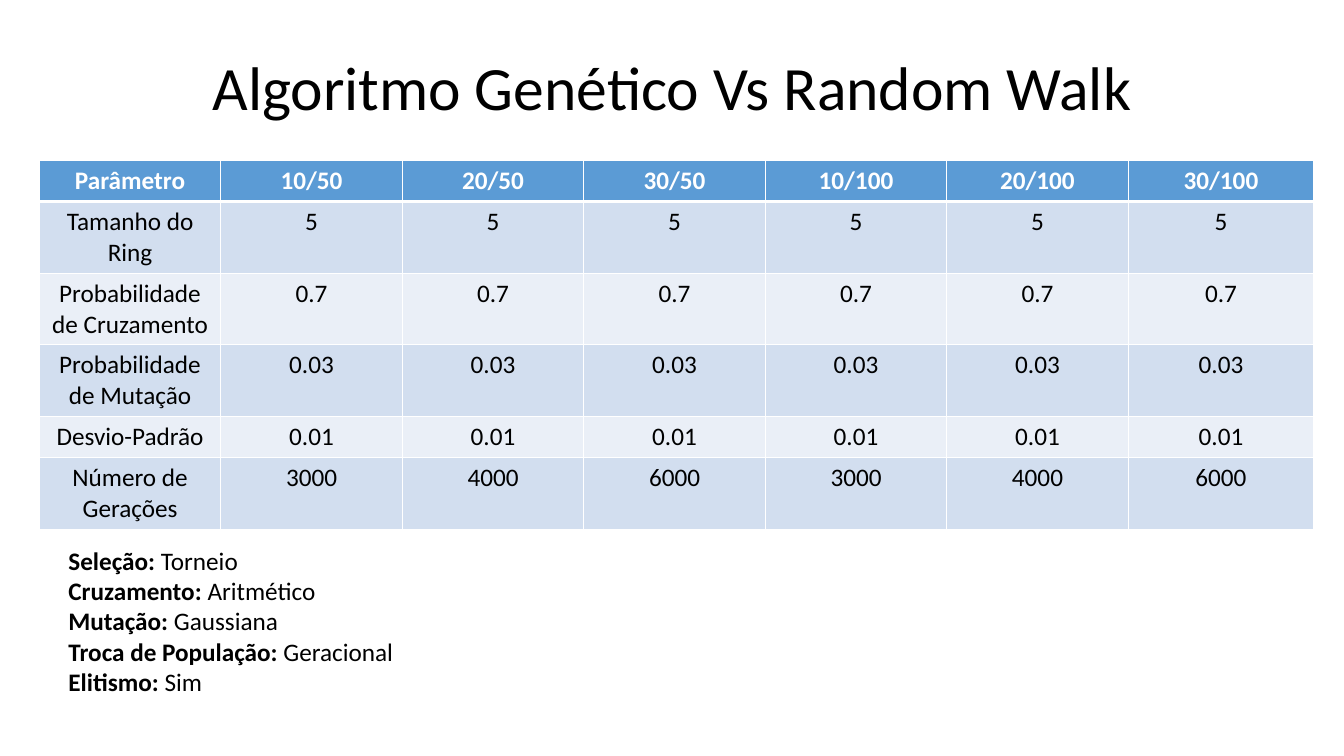
import dataclasses

import lxml.etree
import pptx
import pptx.dml.color
import pptx.enum.text
import pptx.oxml.ns
import pptx.util

Inches = pptx.util.Inches
Align = pptx.enum.text.PP_ALIGN
Anchor = pptx.enum.text.MSO_ANCHOR

FONT = "Calibri"
BLACK, WHITE = "000000", "FFFFFF"
HEADER_FILL = "5B9BD5"
BAND_FILLS = ("D2DEEF", "EAEFF7")


@dataclasses.dataclass
class Parameter:
    name: str
    values: list[str]
    height: float = 0.7


@dataclasses.dataclass
class Setting:
    label: str
    value: str


CONFIGURATIONS = ["10/50", "20/50", "30/50", "10/100", "20/100", "30/100"]
PARAMETERS = [
    Parameter("Tamanho do Ring", ["5"] * 6),
    Parameter("Probabilidade de Cruzamento", ["0.7"] * 6),
    Parameter("Probabilidade de Mutação", ["0.03"] * 6),
    Parameter("Desvio-Padrão", ["0.01"] * 6, height=0.41),
    Parameter("Número de Gerações", ["3000", "4000", "6000"] * 2),
]
SETTINGS = [
    Setting("Seleção:", "Torneio"),
    Setting("Cruzamento:", "Aritmético"),
    Setting("Mutação:", "Gaussiana"),
    Setting("Troca de População:", "Geracional"),
    Setting("Elitismo:", "Sim"),
]


def rgb(value: str) -> pptx.dml.color.RGBColor:
    return pptx.dml.color.RGBColor.from_string(value)


def add_text(paragraph, text: str, *, size: float = 18, color: str = BLACK,
             bold: bool = False, align=None) -> None:
    run = paragraph.add_run()
    run.text = text
    run.font.name = FONT
    run.font.size = pptx.util.Pt(size)
    run.font.bold = bold
    run.font.color.rgb = rgb(color)
    if align is not None:
        paragraph.alignment = align


def add_borders(cell, widths: dict[str, float]) -> None:
    qn = pptx.oxml.ns.qn
    properties = cell._tc.get_or_add_tcPr()
    for side, width in widths.items():
        line = lxml.etree.SubElement(properties, qn(f"a:ln{side}"), w=str(pptx.util.Pt(width)))
        fill = lxml.etree.SubElement(line, qn("a:solidFill"))
        lxml.etree.SubElement(fill, qn("a:srgbClr"), val=WHITE)


def add_parameter_table(slide) -> None:
    rows = [Parameter("Parâmetro", CONFIGURATIONS, height=0.41), *PARAMETERS]
    column_count = len(CONFIGURATIONS) + 1
    frame = slide.shapes.add_table(len(rows), column_count, Inches(0.39), Inches(1.59),
                                   Inches(12.64), Inches(3.62))
    table = frame.table
    for column in table.columns:
        column.width = Inches(1.8)
    table.columns[column_count - 1].width = Inches(1.84)

    for row_index, row in enumerate(rows):
        table.rows[row_index].height = Inches(row.height)
        is_header = row_index == 0
        fill = HEADER_FILL if is_header else BAND_FILLS[(row_index - 1) % 2]
        borders = {"L": 1, "R": 1, "T": 3 if row_index == 1 else 1, "B": 3 if is_header else 1}
        for column_index, text in enumerate([row.name, *row.values]):
            cell = table.cell(row_index, column_index)
            add_borders(cell, borders)
            cell.fill.solid()
            cell.fill.fore_color.rgb = rgb(fill)
            add_text(cell.text_frame.paragraphs[0], text, bold=is_header,
                     color=WHITE if is_header else BLACK, align=Align.CENTER)


def add_settings(slide) -> None:
    box = slide.shapes.add_textbox(Inches(0.58), Inches(5.36), Inches(12.18), Inches(1.62))
    text_frame = box.text_frame
    text_frame.word_wrap = True
    text_frame.auto_size = pptx.enum.text.MSO_AUTO_SIZE.SHAPE_TO_FIT_TEXT
    for index, setting in enumerate(SETTINGS):
        paragraph = text_frame.add_paragraph() if index else text_frame.paragraphs[0]
        add_text(paragraph, setting.label, bold=True)
        add_text(paragraph, f" {setting.value}")


presentation = pptx.Presentation()
presentation.slide_width = Inches(13.33)
presentation.slide_height = Inches(7.5)
slide = presentation.slides.add_slide(presentation.slide_layouts.get_by_name("Title Only"))

# Title
title = slide.shapes.title
title.left, title.top = Inches(0.92), Inches(0.4)
title.width, title.height = Inches(11.5), Inches(1)
title.text_frame.vertical_anchor = Anchor.MIDDLE
title_paragraph = title.text_frame.paragraphs[0]
title_paragraph.line_spacing = 0.9
add_text(title_paragraph, "Algoritmo Genético Vs Random Walk", size=44, align=Align.CENTER)

# Parameters and fixed settings
add_parameter_table(slide)
add_settings(slide)

presentation.save("out.pptx")
